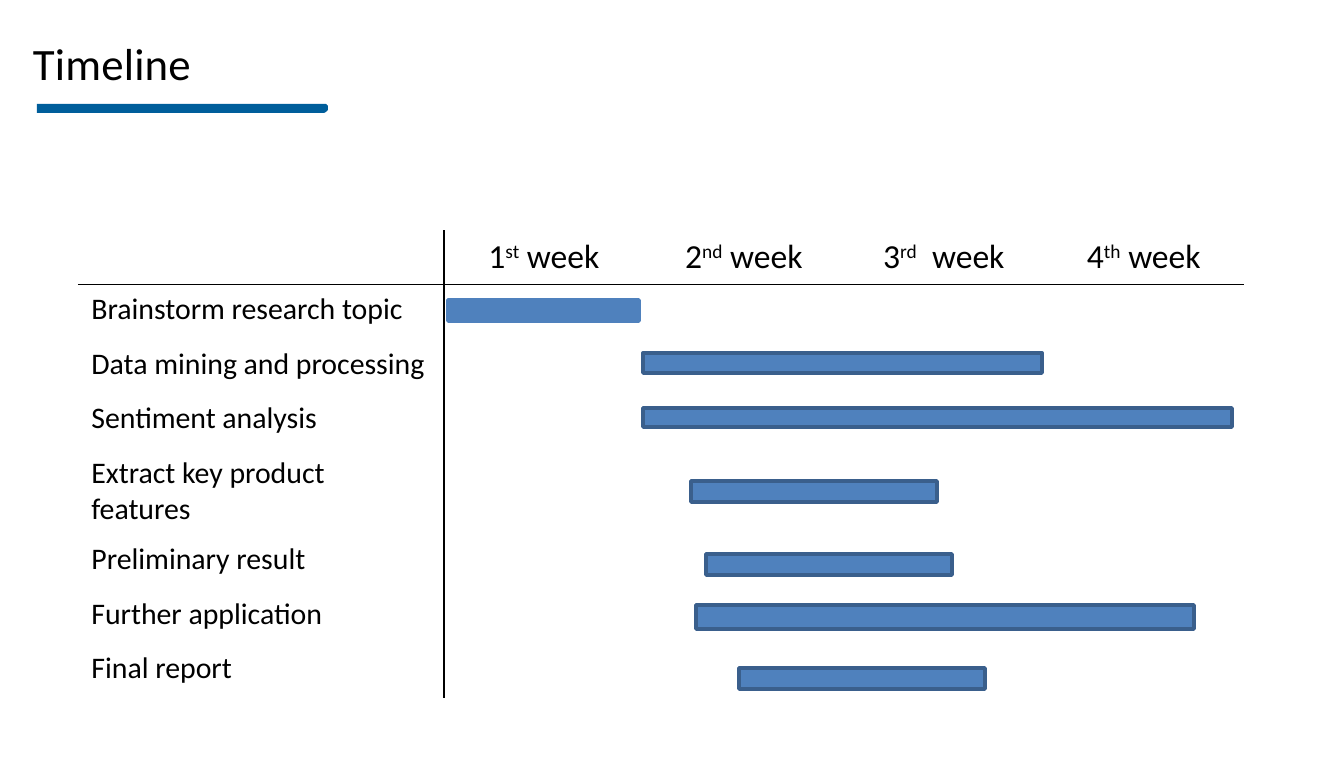
import pptx
import pptx.util
import pptx.dml.color
import pptx.enum.shapes
import pptx.enum.text
import pptx.oxml.ns
import lxml.etree

TITLE = "Timeline"
WEEKS = [("1", "st", " week"), ("2", "nd", " week"), ("3", "rd", "  week"), ("4", "th", " week")]
TASKS = [
    ("Brainstorm research topic", (448, 300, 191, 21), "bar"),
    ("Data mining and processing", (643, 353, 399, 20), "edge"),
    ("Sentiment analysis", (643, 408, 589, 19), "edge"),
    ("Extract key product features", (691, 481, 246, 21), "edge"),
    ("Preliminary result", (706, 554, 246, 21), "edge"),
    ("Further application", (696, 605, 498, 24), "edge"),
    ("Final report", (739, 668, 246, 21), "edge"),
]
UNDERLINE = [(324, 104), (37, 104), (37, 113), (324, 113), (326, 112), (328, 110),
             (328, 108), (328, 106), (326, 104)]
COLORS = {"text": "000000", "paper": "FFFFFF", "accent": "005E9B", "bar": "4F81BD", "edge": "3A5F8C"}
FONT = "Calibri"
SCALE = 914400 / 134.4
LABEL_WIDTH, WEEK_WIDTH, ROW_HEIGHT = 366, 200, 54


def px(value):
    return round(value * SCALE)


def color(name):
    return pptx.dml.color.RGBColor.from_string(COLORS[name])


def set_font(font, size):
    font.name = FONT
    font.size = pptx.util.Pt(size)
    font.color.rgb = color("text")


def add_border(cell, side, shown):
    line = lxml.etree.SubElement(cell._tc.get_or_add_tcPr(), pptx.oxml.ns.qn("a:ln" + side), w="12700")
    if shown:
        fill = lxml.etree.SubElement(line, pptx.oxml.ns.qn("a:solidFill"))
        lxml.etree.SubElement(fill, pptx.oxml.ns.qn("a:srgbClr"), val=COLORS["text"])
    else:
        lxml.etree.SubElement(line, pptx.oxml.ns.qn("a:noFill"))


deck = pptx.Presentation()
deck.slide_width, deck.slide_height = px(1344), px(757)
page = deck.slides.add_slide(deck.slide_layouts[6])

builder = page.shapes.build_freeform(*UNDERLINE[0], scale=SCALE)
builder.add_line_segments(UNDERLINE[1:], close=True)
underline = builder.convert_to_shape()
underline.shadow.inherit = False
underline.fill.solid()
underline.fill.fore_color.rgb = color("accent")
underline.line.fill.background()

frame = page.shapes.add_table(len(TASKS) + 1, len(WEEKS) + 1, px(78), px(230),
                              px(LABEL_WIDTH + WEEK_WIDTH * len(WEEKS)),
                              px(ROW_HEIGHT * (len(TASKS) + 1)))
table = frame.table
table.first_row = table.horz_banding = False
table._tbl.tblPr.find(pptx.oxml.ns.qn("a:tableStyleId")).text = "{2D5ABB26-0587-4C30-8999-92F81FD0307C}"
for index, column in enumerate(table.columns):
    column.width = px(WEEK_WIDTH if index else LABEL_WIDTH)

for row_index, row in enumerate(table.rows):
    row.height = px(ROW_HEIGHT)
    for column_index, cell in enumerate(row.cells):
        sides = {"L": column_index == 1, "R": column_index == 0,
                 "T": row_index == 1, "B": row_index == 0}
        for side, shown in sides.items():
            add_border(cell, side, shown)
        cell.fill.solid()
        cell.fill.fore_color.rgb = color("paper")

for column_index, parts in enumerate(WEEKS, 1):
    para = table.cell(0, column_index).text_frame.paragraphs[0]
    para.alignment = pptx.enum.text.PP_ALIGN.CENTER
    for part_index, part in enumerate(parts):
        span = para.add_run()
        span.text = part
        set_font(span.font, 18)
        if part_index == 1:
            span.font._element.set("baseline", "30000")

box = page.shapes.add_textbox(px(31), px(34), px(730), px(58))
title = box.text_frame
title.word_wrap = True
title.margin_left = title.margin_right = title.margin_bottom = 0
title.margin_top = px(2)
para = title.paragraphs[0]
para.space_before = pptx.util.Pt(1)
para._p.get_or_add_pPr().set("marL", str(px(2)))
span = para.add_run()
span.text = TITLE
set_font(span.font, 24)
span.font._element.set("spc", "10")

for row_index, (task, bounds, edge) in enumerate(TASKS, 1):
    span = table.cell(row_index, 0).text_frame.paragraphs[0].add_run()
    span.text = task
    set_font(span.font, 16)
    bar = page.shapes.add_shape(pptx.enum.shapes.MSO_SHAPE.RECTANGLE, *map(px, bounds))
    bar.shadow.inherit = False
    bar.fill.solid()
    bar.fill.fore_color.rgb = color("bar")
    bar.line.color.rgb = color(edge)
    bar.line.width = pptx.util.Pt(2)

deck.save("out.pptx")
